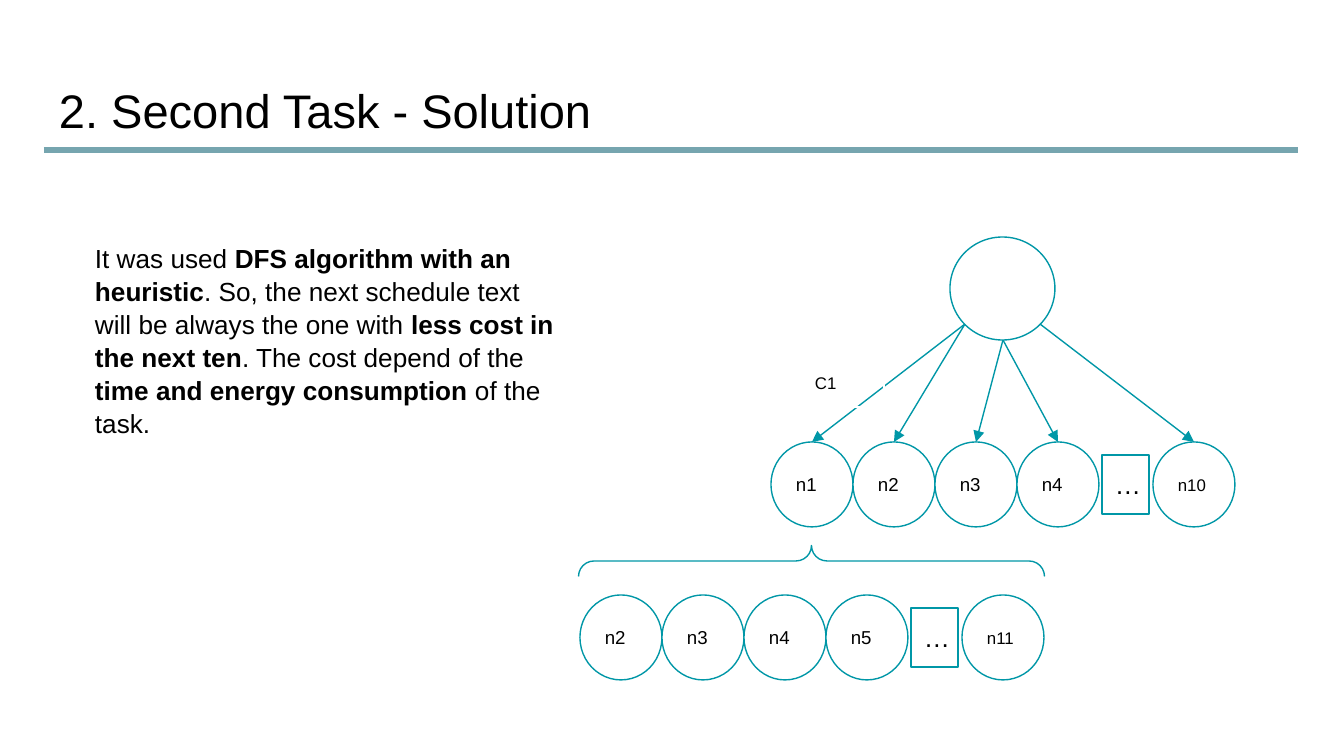
"""Build the slide on a depth-first search with a heuristic, with its search tree."""
from lxml import etree
from pptx import Presentation
from pptx.dml.color import RGBColor
from pptx.enum.shapes import MSO_CONNECTOR, MSO_SHAPE
from pptx.enum.text import MSO_ANCHOR, PP_ALIGN
from pptx.oxml.ns import qn
from pptx.util import Pt

NODE = MSO_SHAPE.FLOWCHART_CONNECTOR
BOX = MSO_SHAPE.RECTANGLE
BRACE = MSO_SHAPE.RIGHT_BRACE
STRAIGHT = MSO_CONNECTOR.STRAIGHT
LEFT = PP_ALIGN.LEFT
TOP, MIDDLE, BOTTOM = MSO_ANCHOR.TOP, MSO_ANCHOR.MIDDLE, MSO_ANCHOR.BOTTOM

TEAL, RULE, BLACK, WHITE = "0097A7", "76A5AF", "000000", "FFFFFF"
SCALE = 914400 / 134.4


def px(*lengths):
    return [round(length * SCALE) for length in lengths]


def write(frame, runs, size, anchor):
    frame.word_wrap = True
    frame.vertical_anchor = anchor
    frame.margin_left, frame.margin_top, frame.margin_right, frame.margin_bottom = px(13, 13, 13, 13)
    paragraph = frame.paragraphs[0]
    paragraph.alignment = LEFT
    paragraph.font.name = "Arial"
    paragraph.font.size = Pt(size)
    paragraph.font.color.rgb = RGBColor.from_string(BLACK)
    for text, bold in runs:
        run = paragraph.add_run()
        run.text = text
        if bold:
            run.font.bold = True
    return paragraph


prs = Presentation()
prs.slide_width, prs.slide_height = px(1344, 756)
slide = prs.slides.add_slide(prs.slide_layouts[5])
shapes = slide.shapes

title = shapes.title
title.left, title.top, title.width, title.height = px(46, 66, 1252, 85)
write(title.text_frame, [("2. Second Task - Solution", False)], 25.2, BOTTOM)

explanation = shapes.add_textbox(*px(82, 228, 487, 218))
explanation_paragraph = write(explanation.text_frame, [
    ("It was used ", False),
    ("DFS algorithm with an heuristic", True),
    (". So, the next schedule text will be always the one with", False),
    (" less cost in the next ten", True),
    (". The cost depend of the ", False),
    ("time and energy consumption", True),
    (" of the task.", False),
], 14, TOP)
explanation_paragraph.line_spacing = 1.05

PITCH, NODE_WIDTH, NODE_HEIGHT = 82, 82, 85
DOTS_OFFSET, LAST_OFFSET = 331, 382
node_offsets = [0, PITCH, 2 * PITCH, 3 * PITCH, LAST_OFFSET]
LEVEL_LEFT, LEVEL_TOP = 771, 442
levels = [
    (LEVEL_LEFT, LEVEL_TOP, ["n1", "n2", "n3", "n4", "n10"]),
    (580, 595, ["n2", "n3", "n4", "n5", "n11"]),
]

tree_parts = [(NODE, (950, 237, 105, 103), "", 10, WHITE, TEAL)]
for left, top, names in levels:
    for offset, name in zip(node_offsets, names):
        size = 10 if len(name) == 2 else 9
        tree_parts.append((NODE, (left + offset, top, NODE_WIDTH, NODE_HEIGHT), name, size, WHITE, TEAL))
    tree_parts.append((BOX, (left + DOTS_OFFSET, top + 13, 47, 59), "…", 14, None, TEAL))
tree_parts.append((BRACE, (796, 328, 31, 466), "", 10, None, TEAL))

edge_starts = [(965, 324), (965, 324), (1003, 340), (1003, 340), (1040, 324)]
lines = [((44, 150), (1298, 150), RULE, 3, False)]
for start, offset in zip(edge_starts, node_offsets):
    lines.append((start, (LEVEL_LEFT + offset + NODE_WIDTH // 2, LEVEL_TOP), TEAL, 0.75, True))

for start, end, color, weight, arrow in lines:
    line = shapes.add_connector(STRAIGHT, *px(*start, *end))
    line.line.color.rgb = RGBColor.from_string(color)
    line.line.width = Pt(weight)
    properties = line._element.spPr
    etree.SubElement(properties, qn("a:effectLst"))
    if arrow:
        etree.SubElement(properties.find(qn("a:ln")), qn("a:tailEnd"), type="triangle")

tree_parts.append((BOX, (802, 360, 82, 47), "C1", 9, None, WHITE))
for kind, place, label, size, fill, outline in tree_parts:
    part = shapes.add_shape(kind, *px(*place))
    part.shadow.inherit = False
    part.line.color.rgb = RGBColor.from_string(outline)
    part.line.width = Pt(0.75)
    if fill:
        part.fill.solid()
        part.fill.fore_color.rgb = RGBColor.from_string(fill)
    else:
        part.fill.background()
    if kind == BRACE:
        part.rotation = 270
        part.adjustments[0] = part.adjustments[1] = 0.5
    if label:
        write(part.text_frame, [(label, False)], size, MIDDLE if kind == NODE else TOP)

prs.save("out.pptx")
